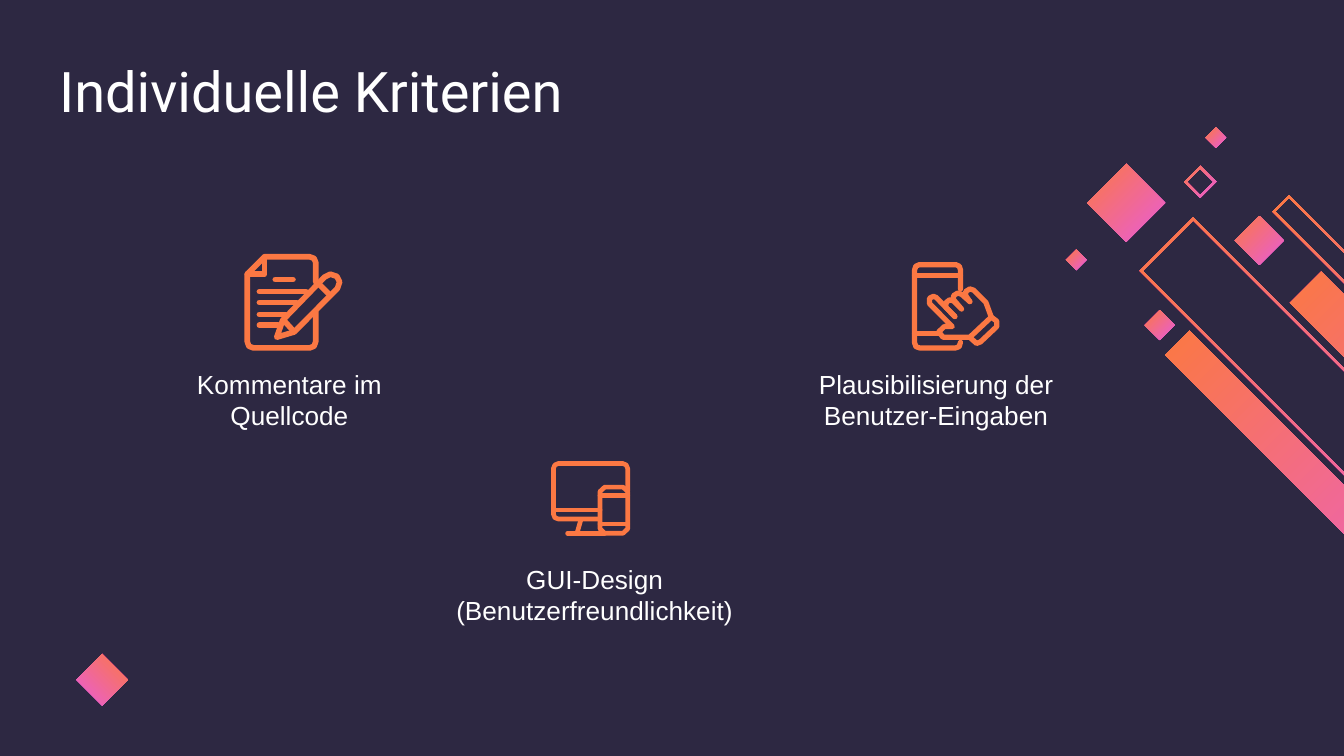
"""Build the slide "Individuelle Kriterien" with three captioned icons."""
from pptx import Presentation
from pptx.dml.color import RGBColor
from pptx.enum.text import MSO_ANCHOR, PP_ALIGN
from pptx.oxml.ns import qn
from pptx.util import Pt

BOTTOM = MSO_ANCHOR.BOTTOM
LEFT, CENTER = PP_ALIGN.LEFT, PP_ALIGN.CENTER
BACKGROUND, WHITE, ORANGE, PINK = "2D2842", "FFFFFF", "FB7843", "E85CDB"
RIM = 1.5

BANDS = [
    (639.2, 116.6, 28.6, 187.3, True),
    (707.8, 145.6, 16.7, 138.4, False),
    (690.6, 104.5, 8.9, 167.9, True),
    (637.2, 177.2, 13, 157.7, False),
]
DIAMONDS = [
    (621.3, 166.2, 8, False),
    (576.6, 133.8, 5.5, False),
    (651.4, 68.3, 5.5, False),
    (603.3, 87.8, 20.9, False),
    (674.7, 115.8, 13.1, False),
    (643, 88.8, 8.6, True),
]
CAPTIONS = [
    (73.4, 193.7, "Kommentare im Quellcode"),
    (236.9, 298.1, "GUI-Design (Benutzerfreundlichkeit)"),
    (419.8, 193.7, "Plausibilisierung der Benutzer-Eingaben"),
]

DOCUMENT = [
    [(38.2, 15), (38.2, 4.5), (37.3, 2.4), (35, 1.5), (10.8, 1.5), (1.5, 10.8),
     (1.5, 47), (2.4, 49.4), (4.8, 50.3), (35, 50.3), (37.3, 49.4), (38.2, 47), (38.2, 31)],
    [(10.8, 1.5), (10.8, 10.8), (1.5, 10.8)],
    [(16.5, 13.7), (26, 13.7)],
    [(8, 20.2), (33, 20.2)],
    [(8, 26), (28, 26)],
    [(8, 32.4), (22, 32.4)],
    [(8, 38.2), (18, 38.2)],
    [(17.3, 44.6), (20.5, 35.5), (43, 12.3), (46, 10.8), (49.5, 12), (51, 15),
     (49.8, 18.5), (26.6, 41.8), (17.3, 44.6)],
    [(40, 16.2), (45, 21.2)],
    [(21.5, 36), (25.5, 40.4)],
]
TOUCH = [
    [(26, 14.5), (26, 4.2), (25.3, 2.2), (23.5, 1.4), (4, 1.4), (2.1, 2.2), (1.4, 4.2),
     (1.4, 43.3), (2.1, 45.3), (4, 46), (23.5, 46), (25.3, 45.3), (26, 43)],
    [(1.4, 7.2), (26, 7.2)],
    [(1.4, 38.2), (14.5, 38.2)],
    [(23, 29.2), (13, 19), (11.5, 18.4), (9.4, 19.4), (9.4, 22.3), (21.6, 34.6),
     (17.3, 34.6), (14.4, 37.4), (16.6, 40.3), (31, 40.3), (42.5, 29.5), (39.6, 21.6),
     (33.1, 15.1), (31, 14.4), (28.8, 15.8), (28.8, 18), (31, 21.2)],
    [(23, 29.2), (18, 24.1), (18.4, 21.6), (20.2, 20.2), (22.3, 20.9), (26.6, 25.2),
     (22.3, 20.2), (22.3, 18), (24.5, 16.6), (26.6, 17.3), (31, 21.2)],
    [(31.7, 41), (34.6, 43.6), (36.7, 42.8), (45.4, 34.6), (45.4, 31.7), (42.5, 29.5)],
]
DEVICES = [
    [(26, 31.1), (4, 31.1), (2.1, 30.4), (1.3, 28.5), (1.3, 4), (2.1, 2.1), (4, 1.3),
     (38.4, 1.3), (40.3, 2.1), (41.1, 4), (41.1, 16)],
    [(1.3, 26.2), (26.3, 26.2)],
    [(28.8, 14), (38.6, 14), (41.1, 16.3), (41.1, 36.4), (38.6, 38.7), (28.8, 38.7),
     (26.3, 36.4), (26.3, 16.3), (28.8, 14)],
    [(26.3, 18.6), (41.1, 18.6)],
    [(26.3, 33.8), (41.1, 33.8)],
    [(16, 31.5), (14, 38.5)],
    [(8.9, 38.7), (28.8, 38.7)],
]


def rgb(value):
    """Return the colour for a hex string."""
    return RGBColor.from_string(value)


def tilted(x, y, w, length):
    """Return the closed outline of a rectangle tilted by 45 degrees, from its top corner."""
    return [(x, y), (x - w, y + w), (x - w + length, y + w + length),
            (x + length, y + length), (x, y)]


class Painter:
    """Hold the style and the current slide, and draw its elements."""

    def __init__(self, slide):
        """Set the slide and its background."""
        self.slide = slide
        fill = slide.background.fill
        fill.solid()
        fill.fore_color.rgb = rgb(BACKGROUND)

    def set_text(self, sp, text, font, size, align):
        """Set and format the text of a shape."""
        tf = sp.text_frame
        tf.word_wrap = True
        tf.text = text
        p = tf.paragraphs[0]
        p.alignment = align
        f = p.runs[0].font
        f.name, f.size, f.color.rgb = font, Pt(size), rgb(WHITE)
        return tf

    def title(self, text, x, y, w, h):
        """Place and fill the title placeholder."""
        sp = self.slide.shapes.title
        sp.left, sp.top, sp.width, sp.height = Pt(x), Pt(y), Pt(w), Pt(h)
        tf = self.set_text(sp, text, "Roboto", 30, LEFT)
        tf.vertical_anchor = BOTTOM
        tf.margin_left = tf.margin_right = tf.margin_top = tf.margin_bottom = Pt(7.2)

    def caption(self, x, y, text):
        """Add a centred caption."""
        sp = self.slide.shapes.add_textbox(Pt(x), Pt(y), Pt(163.4), Pt(41))
        self.set_text(sp, text, "Arial", 14, CENTER)

    def outline(self, loops, x=0, y=0):
        """Add one freeform made of several lines or loops."""
        builder = None
        for loop in loops:
            first, *rest = [(Pt(x + px), Pt(y + py)) for px, py in loop]
            if builder is None:
                builder = self.slide.shapes.build_freeform(*first, scale=1.0)
            else:
                builder.move_to(*first)
            builder.add_line_segments(rest, close=loop[0] == loop[-1])
        sp = builder.convert_to_shape()
        sp.shadow.inherit = False
        return sp

    def band(self, x, y, w, length, hollow, angle=135):
        """Add a tilted rectangle with a gradient, full or as a thin rim."""
        loops = [tilted(x, y, w, length)]
        if hollow:
            loops.append(tilted(x, y + RIM, w - RIM, length - RIM))
        sp = self.outline(loops)
        sp.line.fill.background()
        sp.fill.gradient()
        sp.fill.gradient_angle = angle
        for stop, color in zip(sp.fill.gradient_stops, (PINK, ORANGE)):
            stop.color.rgb = rgb(color)

    def icon(self, loops, x, y, weight):
        """Add a line icon with round line ends."""
        sp = self.outline(loops, x, y)
        sp.fill.background()
        sp.line.color.rgb = rgb(ORANGE)
        sp.line.width = Pt(weight)
        sp.element.spPr.find(qn("a:ln")).set("cap", "rnd")


def main():
    """Build and save the presentation."""
    prs = Presentation()
    prs.slide_width, prs.slide_height = Pt(720), Pt(405)
    painter = Painter(prs.slides.add_slide(prs.slide_layouts[5]))
    for band in BANDS:
        painter.band(*band)
    for x, y, half, hollow in DIAMONDS:
        painter.band(x, y, half, half, hollow)
    painter.band(54.7, 350.4, 13.8, 13.8, False, angle=45)
    painter.title("Individuelle Kriterien", 24.5, 21.6, 511.9, 51.8)
    for caption in CAPTIONS:
        painter.caption(*caption)
    painter.icon(DOCUMENT, 131, 136.1, 3)
    painter.icon(TOUCH, 488.6, 140.4, 2.8)
    painter.icon(DEVICES, 295.2, 247, 2.5)
    prs.save("out.pptx")


if __name__ == "__main__":
    main()
